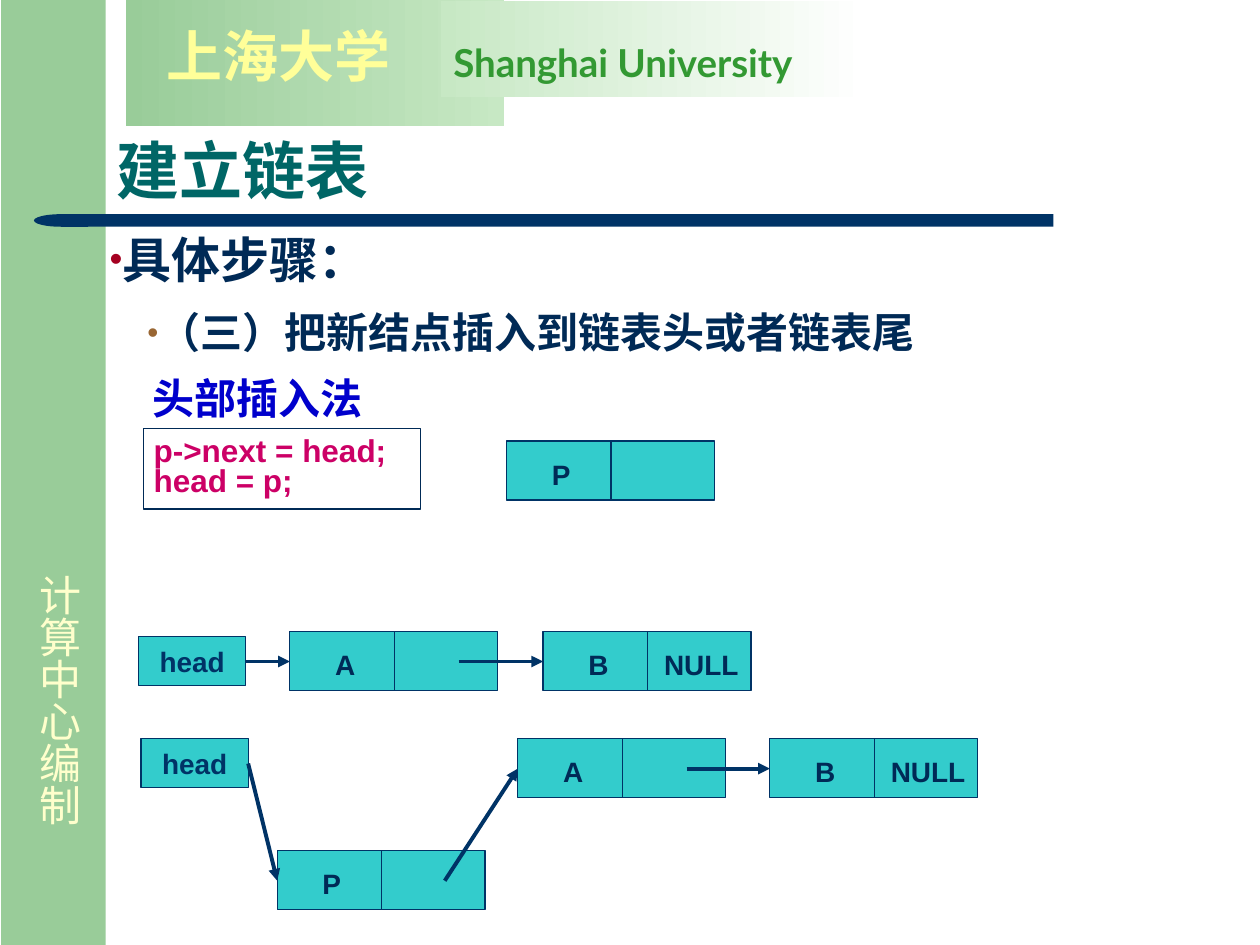
import math

from lxml import etree
from pptx import Presentation
from pptx.dml.color import RGBColor
from pptx.enum.shapes import MSO_CONNECTOR, MSO_SHAPE
from pptx.enum.text import MSO_ANCHOR, PP_ALIGN
from pptx.oxml.ns import qn
from pptx.util import Inches, Pt

RECTANGLE = MSO_SHAPE.RECTANGLE
DELAY = MSO_SHAPE.FLOWCHART_DELAY
STRAIGHT = MSO_CONNECTOR.STRAIGHT
TOP, MIDDLE, BOTTOM = MSO_ANCHOR.TOP, MSO_ANCHOR.MIDDLE, MSO_ANCHOR.BOTTOM
LEFT, CENTER = PP_ALIGN.LEFT, PP_ALIGN.CENTER

COLORS = {
    "green": "99CC99", "pale green": "C7E8C4", "white": "FFFFFF",
    "navy": "003366", "ink": "002A56", "cyan": "33CCCC",
    "cream": "FFFFCC", "yellow": "FFFF99", "leaf": "339933",
    "teal": "006666", "red": "A50021", "brown": "996633",
    "blue": "0000CC", "magenta": "CC0066",
}
NODE_WIDTH, NODE_HEIGHT, NODE_SPLIT = 1.65, 0.47, 0.83
DEFAULT_INSETS = (0.1, 0.05, 0.1, 0.05)


def color(name):
    return RGBColor.from_string(COLORS[name])


class SlideBuilder:
    def __init__(self, page, font="Arial"):
        self.page = page
        self.font = font

    def paint(self, shape, fill=None, line=None):
        shape.shadow.inherit = False
        if isinstance(fill, tuple):
            shape.fill.gradient()
            shape.fill.gradient_angle = 0
            for stop, name in zip(shape.fill.gradient_stops, fill):
                stop.color.rgb = color(name)
        elif fill:
            shape.fill.solid()
            shape.fill.fore_color.rgb = color(fill)
        else:
            shape.fill.background()
        if line:
            shape.line.color.rgb = color(line)
            shape.line.width = Pt(0.75)
        else:
            shape.line.fill.background()

    def shape(self, place, fill=None, line=None, kind=RECTANGLE):
        shape = self.page.shapes.add_shape(kind, *map(Inches, place))
        self.paint(shape, fill, line)
        return shape

    def outline(self, points, fill):
        builder = self.page.shapes.build_freeform(*points[0], scale=Inches(1))
        builder.add_line_segments(points[1:], close=True)
        self.paint(builder.convert_to_shape(), fill)

    def frame(self, box, insets=DEFAULT_INSETS, anchor=TOP):
        frame = box.text_frame
        frame.word_wrap = True
        frame.vertical_anchor = anchor
        (frame.margin_left, frame.margin_top,
         frame.margin_right, frame.margin_bottom) = map(Inches, insets)
        return frame

    def style(self, font, size, ink, bold=True, name=None):
        font.name = name or self.font
        font.size = Pt(size)
        font.bold = bold
        font.color.rgb = color(ink)

    def label(self, box, lines, size, ink, bold=True, align=LEFT, spacing=1.0,
              **layout):
        frame = self.frame(box, **layout)
        for number, line in enumerate(lines):
            para = frame.paragraphs[0] if number == 0 else frame.add_paragraph()
            para.text = line
            para.alignment = align
            para.line_spacing = spacing
            self.style(para.font, size, ink, bold)

    def text(self, place, lines, size, ink, **layout):
        box = self.page.shapes.add_textbox(*map(Inches, place))
        self.label(box, lines, size, ink, **layout)
        return box

    def header(self, place, spans, tab):
        box = self.page.shapes.add_textbox(*map(Inches, place))
        para = self.frame(box).paragraphs[0]
        tabs = etree.SubElement(para._p.get_or_add_pPr(), qn("a:tabLst"))
        etree.SubElement(tabs, qn("a:tab"), pos=str(Inches(tab)), algn="l")
        for words, size, ink, name in spans:
            span = para.add_run()
            span.text = words
            self.style(span.font, size, ink, name=name)

    def bullets(self, place, items):
        box = self.page.shapes.add_textbox(*map(Inches, place))
        frame = self.frame(box, (0.02, 0.01, 0.02, 0.01))
        for number, (words, size, bullet, margin, hang) in enumerate(items):
            para = frame.paragraphs[0] if number == 0 else frame.add_paragraph()
            para.text = words
            props = para._p.get_or_add_pPr()
            props.set("marL", str(Inches(margin)))
            props.set("indent", str(Inches(-hang)))
            tint = etree.SubElement(props, qn("a:buClr"))
            etree.SubElement(tint, qn("a:srgbClr"), val=COLORS[bullet])
            etree.SubElement(props, qn("a:buSzPct"), val="75000")
            etree.SubElement(props, qn("a:buFont"), typeface=self.font)
            etree.SubElement(props, qn("a:buChar"), char="•")
            para.line_spacing = 1.2
            if number:
                para.space_before = Pt(size * 0.2)
            self.style(para.font, size, "ink")

    def line(self, start, end, width=0.75, arrow=False):
        line = self.page.shapes.add_connector(
            STRAIGHT, *map(Inches, (*start, *end)))
        line.line.color.rgb = color("navy")
        line.line.width = Pt(width)
        props = line._element.spPr
        if arrow:
            etree.SubElement(props.find(qn("a:ln")), qn("a:tailEnd"),
                             type="triangle")
        etree.SubElement(props, qn("a:effectLst"))

    def head(self, left, top):
        box = self.shape((left, top, 0.85, 0.39), "cyan", "navy")
        self.label(box, ["head"], 16, "navy", align=CENTER, anchor=MIDDLE)

    def node(self, left, top, name, last=False):
        self.shape((left, top, NODE_WIDTH, NODE_HEIGHT), "cyan", "navy")
        split = left + NODE_SPLIT
        self.line((split, top), (split, top + NODE_HEIGHT))
        labels = [(0.36, 0.27, name)] + ([(0.96, 0.69, "NULL")] if last else [])
        for offset, width, words in labels:
            self.text((left + offset, top + 0.18, width, 0.22), [words], 16,
                      "ink", spacing=0.8, insets=(0, 0, 0, 0))


def draw_background(builder):
    builder.shape((0.01, 0, 0.83, 7.5), "green")
    angles = [math.radians(step * 9) for step in range(11)]
    corner = [(1.17 - 0.32 * math.sin(angle), 1.07 - 0.32 * math.cos(angle))
              for angle in angles]
    builder.outline([(0.51, 0), (3.51, 0), (3.51, 0.75), *corner,
                     (0.85, 1.15), (0.51, 1.15)], ("green", "pale green"))
    builder.shape((0.69, 1.7, 7.67, 0.1), "navy")
    cap = builder.shape((0.27, 1.7, 0.43, 0.1), "navy", kind=DELAY)
    cap._element.spPr.find(qn("a:xfrm")).set("flipH", "1")
    side = builder.text((0.12, 4.46, 0.6, 2.28), ["计算中心编制"], 24, "cream",
                        bold=False)
    side._element.txBody.find(qn("a:bodyPr")).set("vert", "eaVert")
    builder.shape((3.5, 0.01, 3.39, 0.76), ("pale green", "white"))
    builder.header((1.22, 0.12, 6.14, 0.63),
                   [("上海大学\t", 32, "yellow", "Arial"),
                    ("Shanghai University", 22, "leaf", "Lato")], tab=2.28)


def draw_content(builder):
    builder.text((0.83, 0.84, 8.67, 0.86), ["建立链表"], 36, "teal",
                 spacing=0.9, anchor=BOTTOM)
    builder.bullets((0.85, 1.72, 8.74, 1.4), [
        ("具体步骤：", 28, "red", 0.1, 0.1),
        ("（三）把新结点插入到链表头或者链表尾", 24, "brown", 0.39, 0.09)])
    builder.text((1.11, 2.91, 1.95, 0.51), ["头部插入法"], 24, "blue")
    code = builder.shape((1.14, 3.4, 2.2, 0.64), line="ink")
    builder.label(code, ["p->next = head;", "head = p;"], 18, "magenta",
                  spacing=0.8, insets=(0.08, 0.08, 0, 0.08))
    for place in [(1.1, 5.05), (1.12, 5.86)]:
        builder.head(*place)
    for node in [(4.02, 3.5, "P"), (2.3, 5.01, "A"), (4.31, 5.01, "B", True),
                 (2.2, 6.75, "P"), (4.11, 5.86, "A"), (6.11, 5.86, "B", True)]:
        builder.node(*node)
    for start, end in [((1.95, 5.25), (2.3, 5.25)), ((3.64, 5.25), (4.31, 5.25)),
                       ((1.97, 6.06), (2.2, 6.99)), ((5.45, 6.1), (6.11, 6.1)),
                       ((3.53, 6.99), (4.11, 6.1))]:
        builder.line(start, end, width=2.25, arrow=True)


def main():
    deck = Presentation()
    deck.slide_width, deck.slide_height = Inches(10), Inches(7.5)
    builder = SlideBuilder(deck.slides.add_slide(deck.slide_layouts[6]))
    draw_background(builder)
    draw_content(builder)
    deck.save("out.pptx")


if __name__ == "__main__":
    main()
